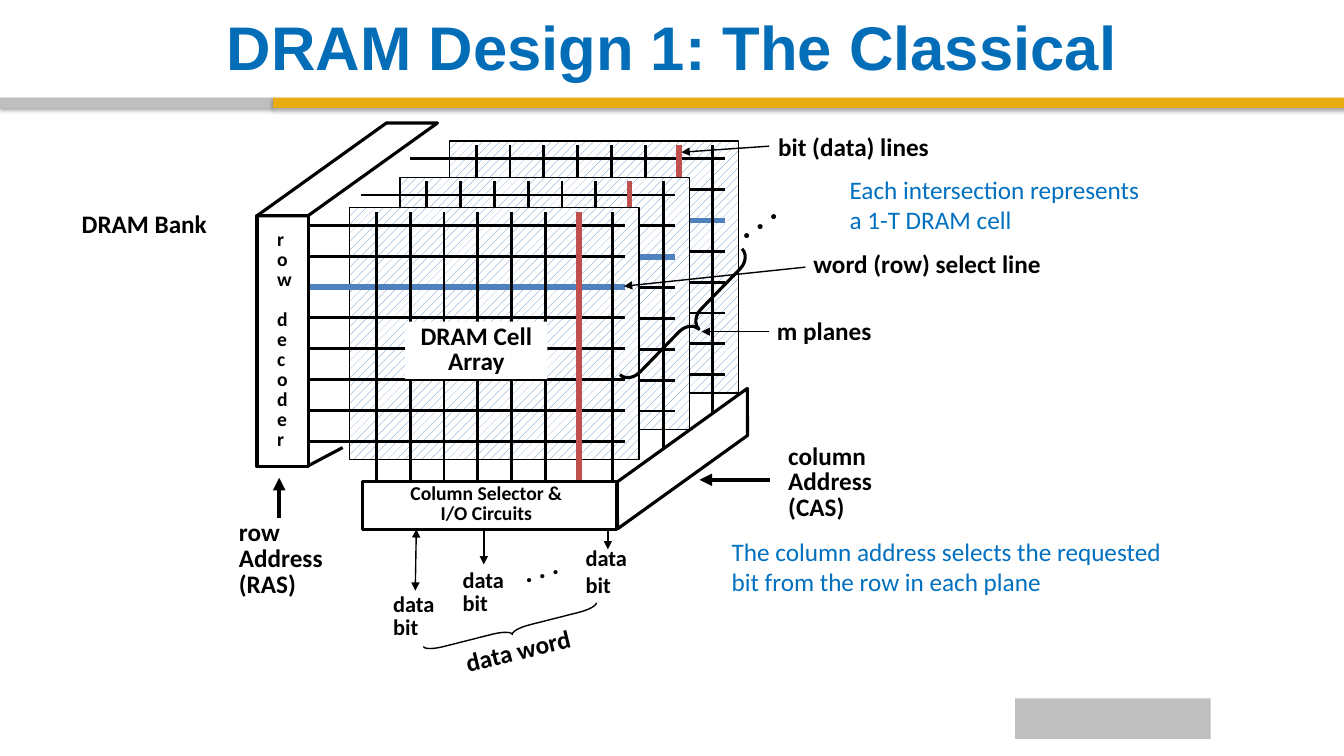
from dataclasses import dataclass, replace

from lxml import etree
from pptx import Presentation
from pptx.dml.color import RGBColor
from pptx.enum.dml import MSO_PATTERN
from pptx.enum.shapes import MSO_CONNECTOR, MSO_SHAPE
from pptx.enum.text import MSO_ANCHOR, PP_ALIGN
from pptx.oxml.ns import qn
from pptx.util import Inches, Length, Pt

RECTANGLE, PARALLELOGRAM, BRACE = MSO_SHAPE.RECTANGLE, MSO_SHAPE.PARALLELOGRAM, MSO_SHAPE.RIGHT_BRACE
STRAIGHT, DOTTED = MSO_CONNECTOR.STRAIGHT, MSO_PATTERN.PERCENT_20
LEFT, CENTER = PP_ALIGN.LEFT, PP_ALIGN.CENTER
TOP, MIDDLE = MSO_ANCHOR.TOP, MSO_ANCHOR.MIDDLE

COLUMNS, ROWS = 133.33, 75  # grid cells are a tenth of an inch square


@dataclass(frozen=True)
class Theme:
    black: str = "000000"
    white: str = "FFFFFF"
    gray: str = "BFBFBF"
    gold: str = "E7AC11"
    title_blue: str = "036DB7"
    note_blue: str = "0070C0"
    word_blue: str = "4F81BD"
    bit_red: str = "C0504D"
    heading_font: str = "Arial"
    body_font: str = "Calibri"
    title_size: float = 44
    dots_size: float = 24
    small_dots_size: float = 20
    label_size: float = 18
    bit_size: float = 16
    block_size: float = 14


THEME = Theme()


@dataclass(frozen=True)
class Frame:
    left: float
    top: float
    width: float
    height: float
    turn: float = 0


@dataclass(frozen=True)
class Style:
    size: float = THEME.label_size
    color: str = THEME.black
    bold: bool = True
    font: str = THEME.body_font
    spacing: float = 0.85
    align: PP_ALIGN = LEFT
    anchor: MSO_ANCHOR = TOP
    inset: tuple[float, float] = (0.7, 0.3)
    fill: str | None = None


@dataclass(frozen=True)
class Label:
    frame: Frame
    lines: tuple[str, ...]
    style: Style
    gap_index: int | None = None  # the line that starts a new word


@dataclass(frozen=True)
class Block:
    preset: MSO_SHAPE
    frame: Frame
    weight: float = 2.25
    adjust: tuple[float, ...] = ()


@dataclass(frozen=True)
class Wire:
    start: tuple[float, float]
    end: tuple[float, float]
    weight: float = 2
    color: str = THEME.black
    heads: tuple[str, ...] = ()


TAG = Style()
BIT = replace(TAG, size=THEME.bit_size)
SELECTOR = replace(TAG, size=THEME.block_size, align=CENTER)
PLAIN = replace(TAG, spacing=1.0, inset=(1, 0.5))
NOTE = replace(PLAIN, color=THEME.note_blue, bold=False)
TITLE = replace(PLAIN, size=THEME.title_size, color=THEME.title_blue,
                font=THEME.heading_font, align=CENTER, anchor=MIDDLE)

PLANES = ((44.6, 14), (39.7, 17.6), (34.7, 20.6))  # back to front

BARS = ((Frame(0, 9.7, 27.1, 1), THEME.gray),
        (Frame(27.1, 9.7, COLUMNS - 27.1, 1), THEME.gold))
FOOTER_PANEL = Frame(100.7, 69.3, 19.4, 4)

BLOCKS = (
    Block(RECTANGLE, Frame(25.5, 21.4, 5.1, 24.9)),
    Block(RECTANGLE, Frame(36, 47.8, 25.2, 4.7)),
    Block(PARALLELOGRAM, Frame(58.4, 43.6, 18.6, 3.8, 324.3), adjust=(0.715,)),
    Block(PARALLELOGRAM, Frame(25.5, 12.2, 17.9, 9.2), adjust=(1.395,)),
    Block(BRACE, Frame(50.2, 53.6, 1, 17.7, 75.8), 1, (1.917, 0.5)),
    Block(BRACE, Frame(67.2, 23.1, 2.5, 17.4, 44.1), adjust=(0.626, 0.5)),
)

ARROWS = (
    Wire((27.7, 51.4), (27.7, 47.4), 3, heads=("tailEnd",)),
    Wire((76.4, 47.6), (69.4, 47.6), 3, heads=("tailEnd",)),
    Wire((41.3, 52.5), (41.2, 58.6), 1, heads=("headEnd", "tailEnd")),
    Wire((48, 52.6), (48, 56), 1, heads=("tailEnd",)),
    Wire((60.3, 52.6), (60.3, 54.5), 1, heads=("tailEnd",)),
    Wire((67.6, 15.1), (76.3, 14.5), 1, heads=("headEnd",)),
    Wire((61.9, 28.4), (79.9, 26.5), 1, heads=("headEnd",)),
    Wire((76.3, 32.9), (69.6, 32.9), 1, heads=("tailEnd",)),
)

LABELS = (
    Label(Frame(6.7, 0.8, 120, 7.6), ("DRAM Design 1: The Classical",), TITLE),
    Label(Frame(7.4, 20.8, 14.6, 3.2), ("DRAM Bank",), TAG),
    Label(Frame(26.8, 22.6, 2.7, 22.6), tuple("rowdecoder"),
          replace(TAG, size=THEME.block_size), gap_index=len("row")),
    Label(Frame(40.2, 31.9, 14.1, 5.7), ("DRAM Cell Array",),
          replace(TAG, align=CENTER, fill=THEME.white)),
    Label(Frame(39.9, 47.8, 16.7, 4.6), ("Column Selector &", "I/O Circuits"), SELECTOR),
    Label(Frame(23, 51.4, 10.1, 8.3), ("row", "Address", "(RAS)"), TAG),
    Label(Frame(77.5, 43.8, 12, 8.3), ("column", "Address", "(CAS)"), TAG),
    Label(Frame(38.3, 58.7, 7.6, 5.2), ("data bit",), BIT),
    Label(Frame(45.2, 56.3, 7.6, 5.2), ("data bit",), BIT),
    Label(Frame(57.4, 53.7, 7.6, 5.9), ("data bit",), replace(BIT, spacing=1.0)),
    Label(Frame(45.4, 62.9, 14.2, 3.2, 346.3), ("data word",), TAG),
    Label(Frame(71.5, 18.4, 8.5, 5, 324.7), (". . .",), replace(PLAIN, size=THEME.dots_size)),
    Label(Frame(50.8, 53.9, 7.3, 4.4, 343.2), (". . .",), replace(PLAIN, size=THEME.small_dots_size)),
    Label(Frame(76.5, 13.2, 18, 3.2), ("bit (data) lines",), TAG),
    Label(Frame(80, 24.8, 26.3, 3.2), ("word (row) select line",), TAG),
    Label(Frame(76.1, 30.8, 15.6, 4), ("m planes",), PLAIN),
    Label(Frame(83.3, 16.8, 30.9, 7), ("Each intersection represents a 1-T DRAM cell",), NOTE),
    Label(Frame(71.6, 52.7, 44.9, 11.2),
          ("The column address selects the requested bit from the row in each plane",), NOTE),
)


def cells(count: float) -> Length:
    return Inches(count / 10)


def place(frame: Frame) -> tuple[Length, ...]:
    return tuple(map(cells, (frame.left, frame.top, frame.width, frame.height)))


def rgb(color: str) -> RGBColor:
    return RGBColor.from_string(color)


def assign(target, values: dict) -> None:
    for name, value in values.items():
        setattr(target, name, value)


def draw_wire(page, wire: Wire) -> None:
    line = page.shapes.add_connector(STRAIGHT, *map(cells, wire.start + wire.end))
    line.line.width = Pt(wire.weight)
    line.line.color.rgb = rgb(wire.color)
    for head in wire.heads:
        etree.SubElement(line.line._get_or_add_ln(), qn(f"a:{head}"), type="triangle")
    etree.SubElement(line._element.spPr, qn("a:effectLst"))


def draw_block(page, block: Block):
    shape = page.shapes.add_shape(block.preset, *place(block.frame))
    shape.shadow.inherit = False
    shape.rotation = block.frame.turn
    for index, value in enumerate(block.adjust):
        shape.adjustments[index] = value
    shape.fill.background()
    shape.line.width = Pt(block.weight)
    shape.line.color.rgb = rgb(THEME.black)
    return shape


def draw_panel(page, frame: Frame, color: str):
    panel = draw_block(page, Block(RECTANGLE, frame))
    panel.line.fill.background()
    panel.fill.solid()
    panel.fill.fore_color.rgb = rgb(color)
    return panel


def draw_bar(page, frame: Frame, color: str) -> None:
    """Draw a header bar with a soft shadow below it."""
    effects = draw_panel(page, frame, color)._element.spPr.find(qn("a:effectLst"))
    shadow = etree.SubElement(effects, qn("a:outerShdw"), blurRad=str(Pt(3.1)),
                              dist=str(Pt(1.8)), dir="5400000", rotWithShape="0")
    tint = etree.SubElement(shadow, qn("a:srgbClr"), val=THEME.black)
    etree.SubElement(tint, qn("a:alpha"), val="35000")


def draw_plane(page, left: float, top: float) -> None:
    """Draw one cell array with its word lines, bit lines and corner edge."""
    sheet = draw_block(page, Block(RECTANGLE, Frame(left, top, 28.7, 25), 1))
    sheet.fill.patterned()
    sheet.fill.pattern = DOTTED
    sheet.fill.fore_color.rgb = rgb(THEME.word_blue)
    sheet.fill.back_color.rgb = rgb(THEME.white)
    for index in range(8):
        row = top + 1.75 + 3.06 * index
        look = (4, THEME.word_blue) if index == 2 else (2, THEME.black)
        draw_wire(page, Wire((left - 3.9, row), (left + 27.3, row), *look))
    for index in range(8):
        column = left + 2.65 + 3.35 * index
        look = (4, THEME.bit_red) if index == 6 else (2, THEME.black)
        draw_wire(page, Wire((column, top + 27), (column, top + 0.4), *look))
    draw_wire(page, Wire((left - 4.1, top + 25.6), (left - 0.7, top + 23.8), 2.25))


def draw_label(page, label: Label) -> None:
    style = label.style
    box = page.shapes.add_textbox(*place(label.frame))
    box.rotation = label.frame.turn
    if style.fill:
        box.fill.solid()
        box.fill.fore_color.rgb = rgb(style.fill)
    side, edge = map(cells, style.inset)
    frame = box.text_frame
    assign(frame, {"word_wrap": True, "vertical_anchor": style.anchor,
                   "margin_left": side, "margin_right": side,
                   "margin_top": edge, "margin_bottom": edge})
    for index, line in enumerate(label.lines):
        para = frame.paragraphs[0] if index == 0 else frame.add_paragraph()
        assign(para, {"alignment": style.align, "line_spacing": style.spacing})
        if index == label.gap_index:
            para.space_before = Pt(style.size)
        span = para.add_run()
        span.text = line
        assign(span.font, {"name": style.font, "size": Pt(style.size), "bold": style.bold})
        span.font.color.rgb = rgb(style.color)


def main() -> None:
    deck = Presentation()
    assign(deck, {"slide_width": cells(COLUMNS), "slide_height": cells(ROWS)})
    page = deck.slides.add_slide(deck.slide_layouts[6])
    draw_panel(page, FOOTER_PANEL, THEME.gray)
    for frame, color in BARS:
        draw_bar(page, frame, color)
    for left, top in PLANES:
        draw_plane(page, left, top)
    for label in LABELS:
        draw_label(page, label)
    for block in BLOCKS:
        draw_block(page, block)
    for arrow in ARROWS:
        draw_wire(page, arrow)
    deck.save("out.pptx")


if __name__ == "__main__":
    main()
